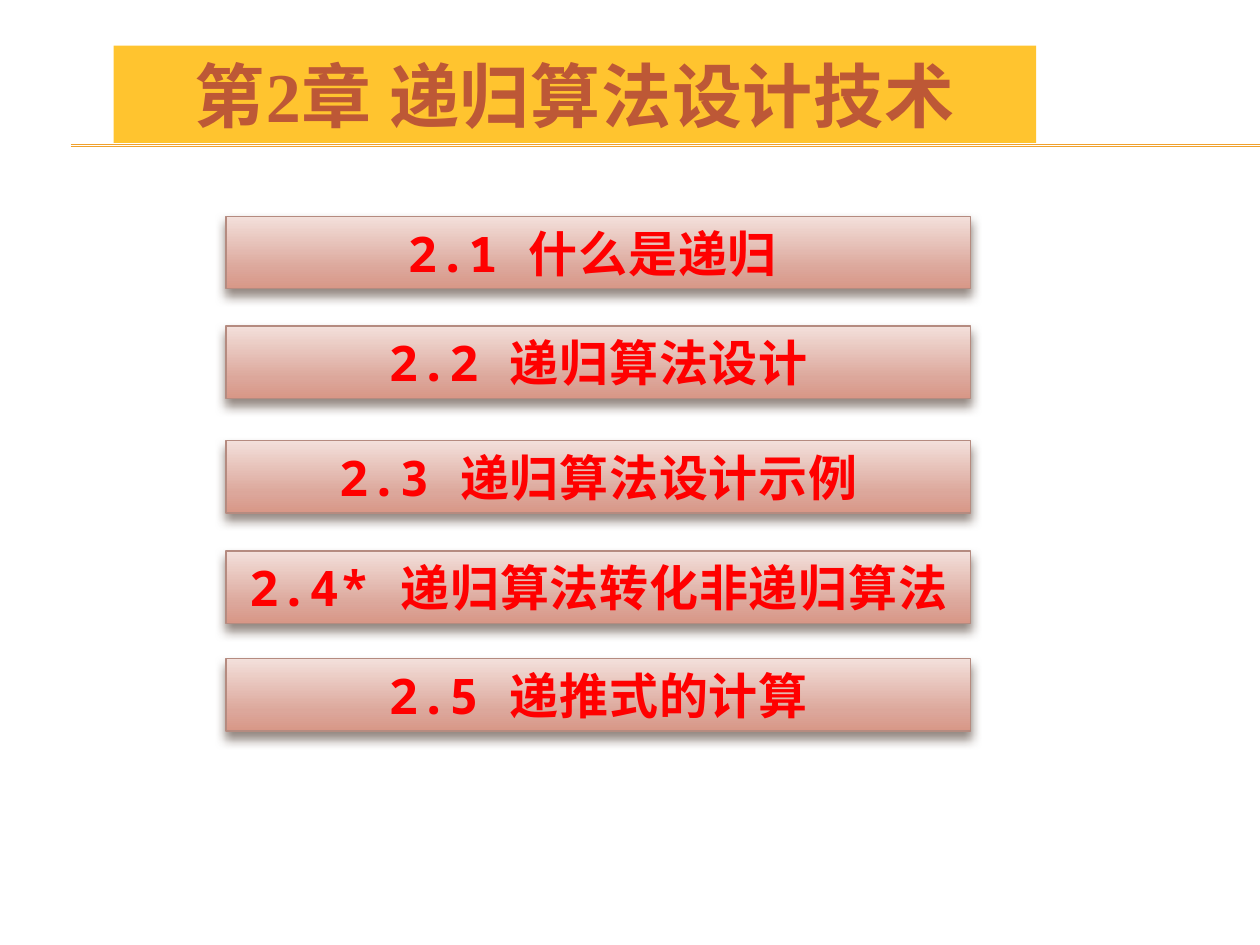
from lxml.etree import SubElement as Sub
from pptx import Presentation
from pptx.dml.color import RGBColor as Rgb
from pptx.enum.lang import MSO_LANGUAGE_ID as Lang
from pptx.enum.shapes import MSO_CONNECTOR as Conn, MSO_SHAPE as Shape
from pptx.enum.text import MSO_ANCHOR as Anchor, PP_ALIGN as Align
from pptx.oxml import parse_xml
from pptx.oxml.ns import nsdecls, qn
from pptx.util import Cm, Pt

GOLD = Rgb(0xFF, 0xC4, 0x2F)
AMBER = Rgb(0xF0, 0xA2, 0x2E)
RUST = Rgb(0xBD, 0x58, 0x36)
RED = Rgb(0xFF, 0x00, 0x00)
EDGE = Rgb(0xB5, 0x8B, 0x80)
SHADE = Rgb(0x4E, 0x3B, 0x30)
BLUSH = [(0, Rgb(0xF3, 0xE0, 0xDB)), (72, Rgb(0xDC, 0xA7, 0x9B)),
         (100, Rgb(0xD8, 0x97, 0x87))]

TITLE = "第2章 递归算法设计技术"
TOPICS = [
    (0, "2.1 什么是递归 "),
    (2.21, "2.2 递归算法设计"),
    (4.52, "2.3 递归算法设计示例"),
    (6.75, "2.4* 递归算法转化非递归算法"),
    (8.92, "2.5 递推式的计算"),
]


def place(shape, left, top, width, height):
    shape.left, shape.top = Cm(left), Cm(top)
    shape.width, shape.height = Cm(width), Cm(height)


def write(shape, text, face, size, color):
    frame = shape.text_frame
    frame.text = text
    frame.word_wrap = True
    frame.vertical_anchor = Anchor.MIDDLE
    frame.margin_left = frame.margin_right = Cm(0.25)
    frame.margin_top = frame.margin_bottom = Cm(0.13)
    para = frame.paragraphs[0]
    para.alignment = Align.CENTER
    para.space_before = Pt(0)
    para.line_spacing = 1.0
    run = para.runs[0]
    font = run.font
    font.name, font.size, font.bold = face, Pt(size), True
    font.color.rgb = color
    font.language_id = Lang.SIMPLIFIED_CHINESE
    font._element.set("spc", "50")


def blend(shape, stops):
    parts = "".join(
        f'<a:gs pos="{pos * 1000}"><a:srgbClr val="{color}"/></a:gs>'
        for pos, color in stops)
    grad = parse_xml(
        f'<a:gradFill {nsdecls("a")} rotWithShape="1"><a:gsLst>{parts}</a:gsLst>'
        '<a:lin ang="5400000" scaled="0"/></a:gradFill>')
    shape._element.spPr.find(qn("a:prstGeom")).addnext(grad)


def shade(shape):
    shape.shadow.inherit = False
    glow = shape._element.spPr.find(qn("a:effectLst"))
    cast = Sub(glow, qn("a:outerShdw"), blurRad=str(Pt(6)), dist=str(Pt(4)),
               dir="5400000", algn="b", rotWithShape="0")
    tone = Sub(cast, qn("a:srgbClr"), val=str(SHADE))
    Sub(tone, qn("a:alpha"), val="60000")


def add_rules(slide, left, top, width):
    for drop in (0, 0.03):
        line = slide.shapes.add_connector(
            Conn.STRAIGHT, Cm(left), Cm(top + drop),
            Cm(left + width), Cm(top + drop))
        line.line.color.rgb = AMBER
        line.line.width = Pt(0.75)
        Sub(line._element.spPr, qn("a:effectLst"))


def add_title(slide, left, top, width, height):
    title = slide.shapes.title
    place(title, left, top, width, height)
    title.fill.solid()
    title.fill.fore_color.rgb = GOLD
    write(title, TITLE, "Times New Roman", 40, RUST)


def add_topics(slide, left, top, width, height):
    for drop, text in TOPICS:
        bar = slide.shapes.add_shape(
            Shape.RECTANGLE, Cm(left), Cm(top + drop), Cm(width), Cm(height))
        blend(bar, BLUSH)
        bar.line.color.rgb = EDGE
        bar.line.width = Pt(0.79)
        shade(bar)
        write(bar, text, "Noto Sans Mono", 28, RED)


def main():
    deck = Presentation()
    deck.slide_width, deck.slide_height = Cm(25.4), Cm(19.05)
    slide = deck.slides.add_slide(deck.slide_layouts[5])
    add_rules(slide, 1.43, 2.92, 23.97)
    add_title(slide, 2.29, 0.92, 18.6, 1.96)
    add_topics(slide, 4.56, 4.36, 15.01, 1.46)
    deck.save("out.pptx")


if __name__ == "__main__":
    main()
